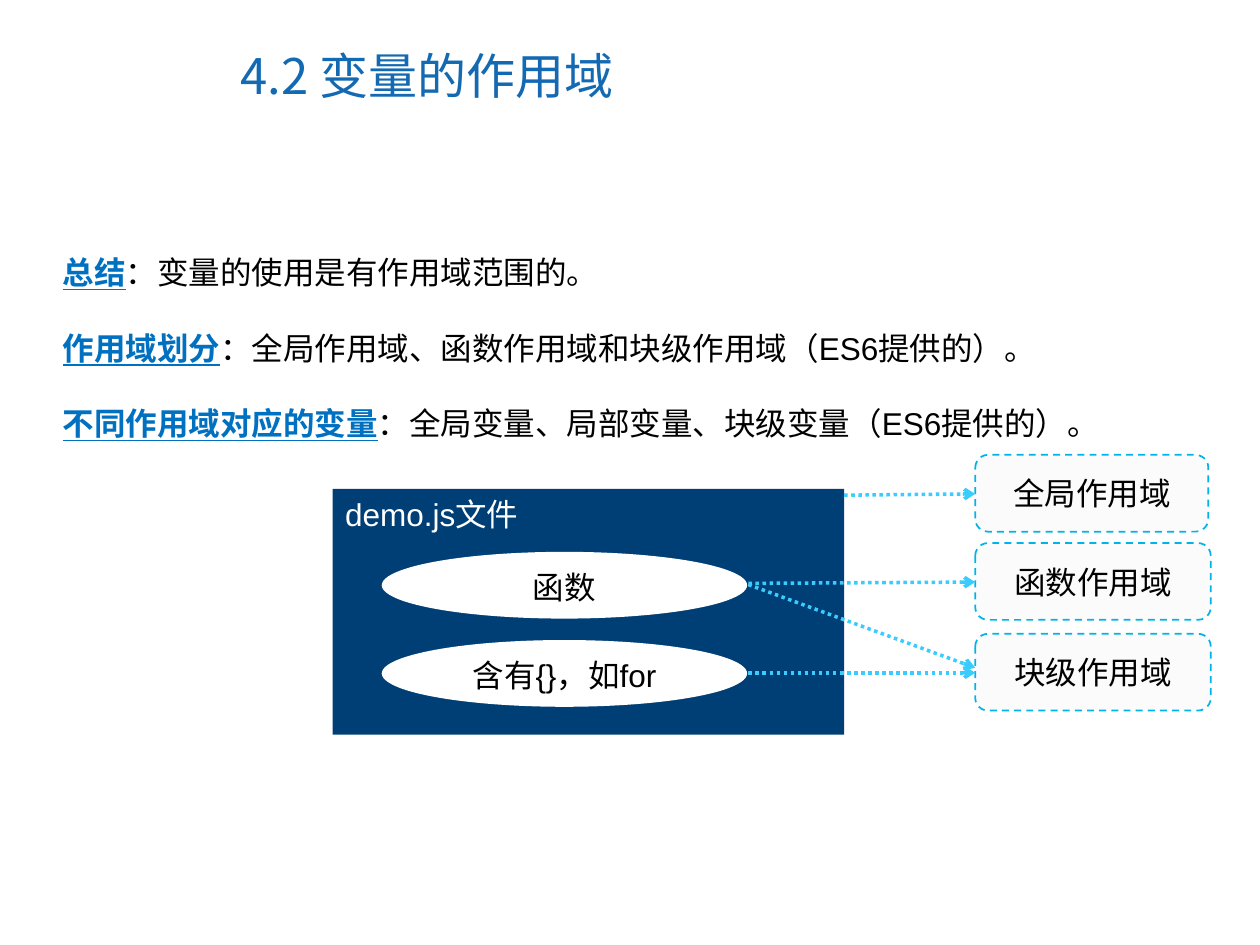
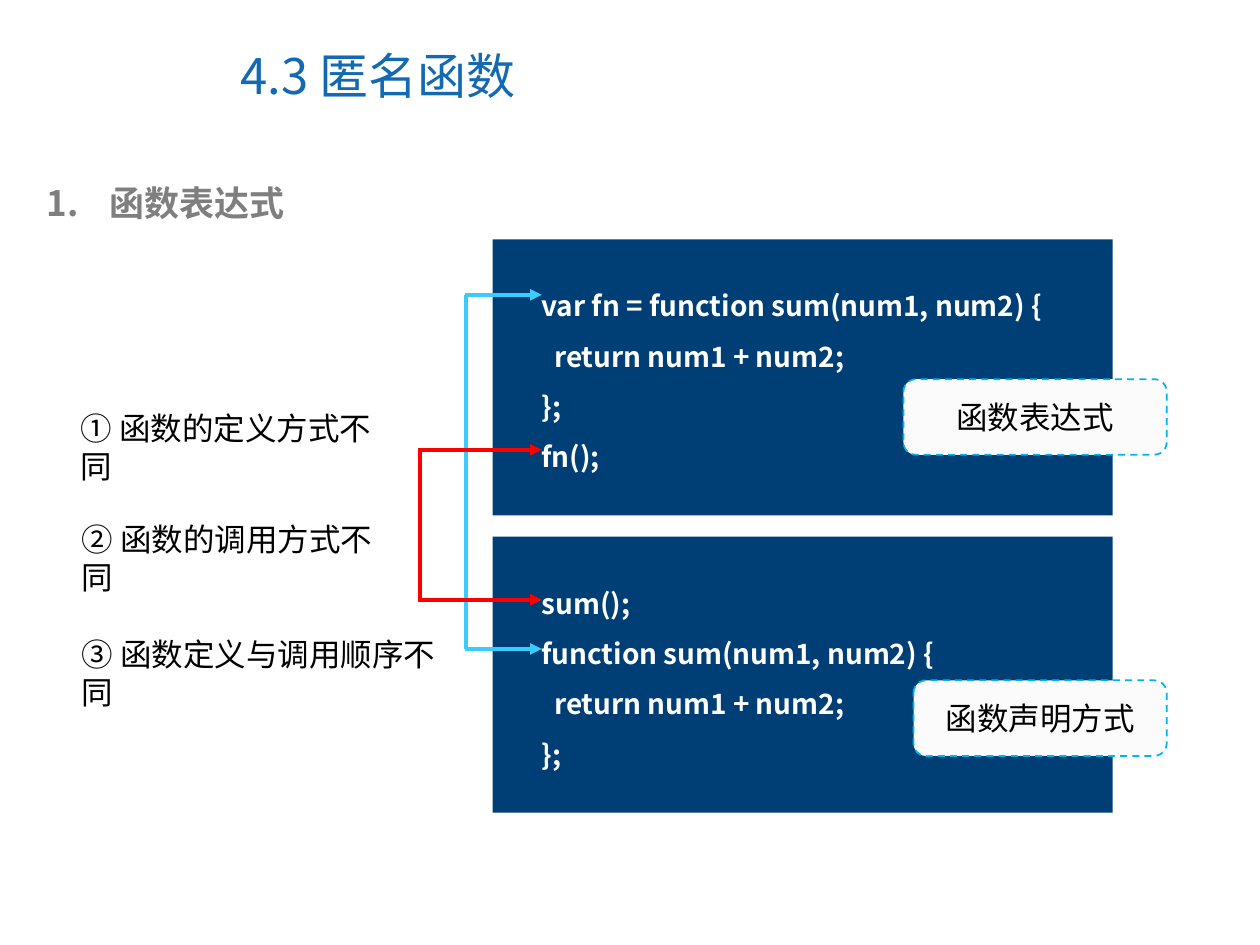
from dataclasses import dataclass

from lxml.etree import SubElement
from pptx import Presentation
from pptx.dml.color import RGBColor
from pptx.enum.dml import MSO_LINE
from pptx.enum.shapes import MSO_CONNECTOR, MSO_SHAPE
from pptx.enum.text import MSO_ANCHOR, MSO_AUTO_SIZE, PP_ALIGN
from pptx.oxml.ns import qn
from pptx.util import Inches, Pt


@dataclass(frozen=True)
class Theme:
    body_font: str = "Arial"
    cjk_font: str = "Noto Sans CJK SC"
    title: str = "1369B2"
    heading: str = "7F7F7F"
    label: str = "0070C0"
    text: str = "000000"
    white: str = "FFFFFF"
    panel: str = "003F75"
    tag_fill: str = "FBFBFB"
    tag_line: str = "00B4E9"
    arrow: str = "3BCCFF"
    call_arrow: str = "FF0000"
    title_size: int = 28
    heading_size: int = 20
    body_size: int = 18
    code_size: int = 16


def rgb(value):
    return RGBColor.from_string(value)


class Deck:
    def __init__(self, prs, theme):
        self.prs, self.theme = prs, theme
        self.s = None

    def add_slide(self, title):
        t = self.theme
        self.s = self.prs.slides.add_slide(self.prs.slide_layouts[5])
        sp = self.s.shapes.title
        sp.left, sp.top, sp.width, sp.height = map(Inches, (1.81, 0.17, 5.16, 0.85))
        tf = sp.text_frame
        tf.auto_size = MSO_AUTO_SIZE.NONE
        tf.vertical_anchor = MSO_ANCHOR.MIDDLE
        tf.text = title
        self.style(tf.paragraphs[0], t.title_size, t.title, t.cjk_font)

    def style(self, p, size, color, font=None, bold=False, align=PP_ALIGN.LEFT):
        p.alignment = align
        p.font.size = Pt(size)
        p.font.bold = bold
        p.font.color.rgb = rgb(color)
        p.font.name = font or self.theme.body_font
        props = p._p.get_or_add_pPr().find(qn("a:defRPr"))
        SubElement(props, qn("a:ea"), typeface=self.theme.cjk_font)

    def text_box(self, x, y, w, h, wrap=True):
        tf = self.s.shapes.add_textbox(*map(Inches, (x, y, w, h))).text_frame
        tf.word_wrap = wrap
        return tf

    def note(self, x, y, w, text):
        tf = self.text_box(x, y, w, 0.4, wrap=False)
        tf.text = text
        self.style(tf.paragraphs[0], self.theme.body_size, self.theme.text)

    def numbered_heading(self, text):
        t = self.theme
        tf = self.text_box(0.27, 1.39, 9.22, 0.44)
        tf.text = text
        p = tf.paragraphs[0]
        props = p._p.get_or_add_pPr()
        props.set("marL", str(Inches(0.5)))
        props.set("indent", str(Inches(-0.5)))
        SubElement(props, qn("a:buFont"), typeface=t.cjk_font)
        SubElement(props, qn("a:buAutoNum"), type="arabicPeriod")
        self.style(p, t.heading_size, t.heading, t.cjk_font, bold=True)

    def definitions(self, x, y, w, h, items):
        """Write one line per (label, explanation), the label underlined."""
        t = self.theme
        tf = self.text_box(x, y, w, h)
        for i, (label, explanation) in enumerate(items):
            p = tf.add_paragraph() if i else tf.paragraphs[0]
            p.line_spacing = 2.0
            self.style(p, t.body_size, t.text)
            r = p.add_run()
            r.text = label
            r.font.bold = r.font.underline = True
            r.font.color.rgb = rgb(t.label)
            p.add_run().text = explanation

    def shape(self, kind, x, y, w, h, fill, text="", color=None,
              align=PP_ALIGN.CENTER, anchor=MSO_ANCHOR.TOP):
        sp = self.s.shapes.add_shape(kind, *map(Inches, (x, y, w, h)))
        sp.shadow.inherit = False
        sp.fill.solid()
        sp.fill.fore_color.rgb = rgb(fill)
        sp.line.fill.background()
        if text:
            tf = sp.text_frame
            tf.vertical_anchor = anchor
            tf.text = text
            self.style(tf.paragraphs[0], self.theme.body_size,
                       color or self.theme.text, align=align)
        return sp

    def panel(self, x, y, w, h, text=""):
        t = self.theme
        self.shape(MSO_SHAPE.RECTANGLE, x, y, w, h, t.panel, text, t.white, PP_ALIGN.LEFT)

    def ellipse(self, x, y, w, h, text):
        self.shape(MSO_SHAPE.OVAL, x, y, w, h, self.theme.white, text)

    def tag(self, x, y, w, h, text):
        t = self.theme
        sp = self.shape(MSO_SHAPE.ROUNDED_RECTANGLE, x, y, w, h, t.tag_fill, text,
                        anchor=MSO_ANCHOR.MIDDLE)
        sp.line.color.rgb = rgb(t.tag_line)
        sp.line.width = Pt(1)
        sp.line.dash_style = MSO_LINE.DASH

    def code_panel(self, x, y, code):
        t = self.theme
        self.panel(x, y, 4.92, 2.19)
        tf = self.text_box(x + 0.29, y + 0.21, 4.63, 1.7)
        tf.text = code
        for p in tf.paragraphs:
            p.line_spacing = 1.5
            self.style(p, t.code_size, t.white, t.cjk_font, bold=True)

    def line(self, start, end, color, width, dash=None, head=None):
        c = self.s.shapes.add_connector(MSO_CONNECTOR.STRAIGHT, *map(Inches, start + end))
        c.line.color.rgb = rgb(color)
        c.line.width = Pt(width)
        if dash:
            c.line.dash_style = dash
        if head:
            SubElement(c.line._get_or_add_ln(), qn("a:tailEnd"), type=head)
        SubElement(c._element.spPr, qn("a:effectLst"))

    def dotted_arrow(self, start, end):
        self.line(start, end, self.theme.arrow, 2, MSO_LINE.ROUND_DOT, "arrow")

    def bracket(self, spine, tip, top, bottom, color):
        """Join two rows of code by a spine with an arrow into each row."""
        self.line((spine, bottom), (spine, top), color, 2.25)
        for y in (top, bottom):
            self.line((spine - 0.01, y), (tip, y), color, 2.25, head="triangle")


def scope_slide(deck):
    deck.add_slide("4.2 变量的作用域")
    deck.definitions(0.4, 1.66, 9.19, 1.9, [
        ("总结", "：变量的使用是有作用域范围的。"),
        ("作用域划分", "：全局作用域、函数作用域和块级作用域（ES6提供的）。"),
        ("不同作用域对应的变量", "：全局变量、局部变量、块级变量（ES6提供的）。"),
    ])
    deck.panel(2.64, 3.88, 4.06, 1.95, "demo.js文件")
    for y, text in ((4.38, "函数"), (5.08, "含有{}，如for")):
        deck.ellipse(3.03, y, 2.9, 0.53, text)

    tag_x = 7.74
    for y, w, text in ((3.61, 1.85, "全局作用域"), (4.31, 1.87, "函数作用域"),
                       (5.03, 1.87, "块级作用域")):
        deck.tag(tag_x, y, w, 0.61, text)
    for x, y, end_y in ((6.7, 3.93, 3.92), (5.94, 4.63, 4.62),
                        (5.94, 5.34, 5.34), (5.94, 4.64, 5.3)):
        deck.dotted_arrow((x, y), (tag_x, end_y))


def anonymous_function_slide(deck):
    t = deck.theme
    deck.add_slide("4.3 匿名函数")
    deck.numbered_heading("函数表达式")
    body = "  return num1 + num2;\n};"
    deck.code_panel(3.91, 1.9, f"var fn = function sum(num1, num2) {{\n{body}\nfn();")
    deck.code_panel(3.91, 4.26, f"sum();\nfunction sum(num1, num2) {{\n{body}")

    tag_right = 9.26
    for y, w, text in ((3.01, 2.09, "函数表达式"), (5.4, 2.01, "函数声明方式")):
        deck.tag(tag_right - w, y, w, 0.6, text)

    deck.bracket(3.7, 4.3, 2.34, 5.15, t.arrow)
    deck.bracket(3.33, 4.3, 3.57, 4.76, t.call_arrow)
    for x, y, w, text in ((0.54, 3.2, 2.75, "① 函数的定义方式不同"),
                          (0.55, 4.08, 2.75, "② 函数的调用方式不同"),
                          (0.55, 4.99, 3.25, "③ 函数定义与调用顺序不同")):
        deck.note(x, y, w, text)


def main():
    prs = Presentation()
    prs.slide_width, prs.slide_height = Inches(10), Inches(7.5)
    deck = Deck(prs, Theme())
    scope_slide(deck)
    anonymous_function_slide(deck)
    prs.save("out.pptx")


if __name__ == "__main__":
    main()
